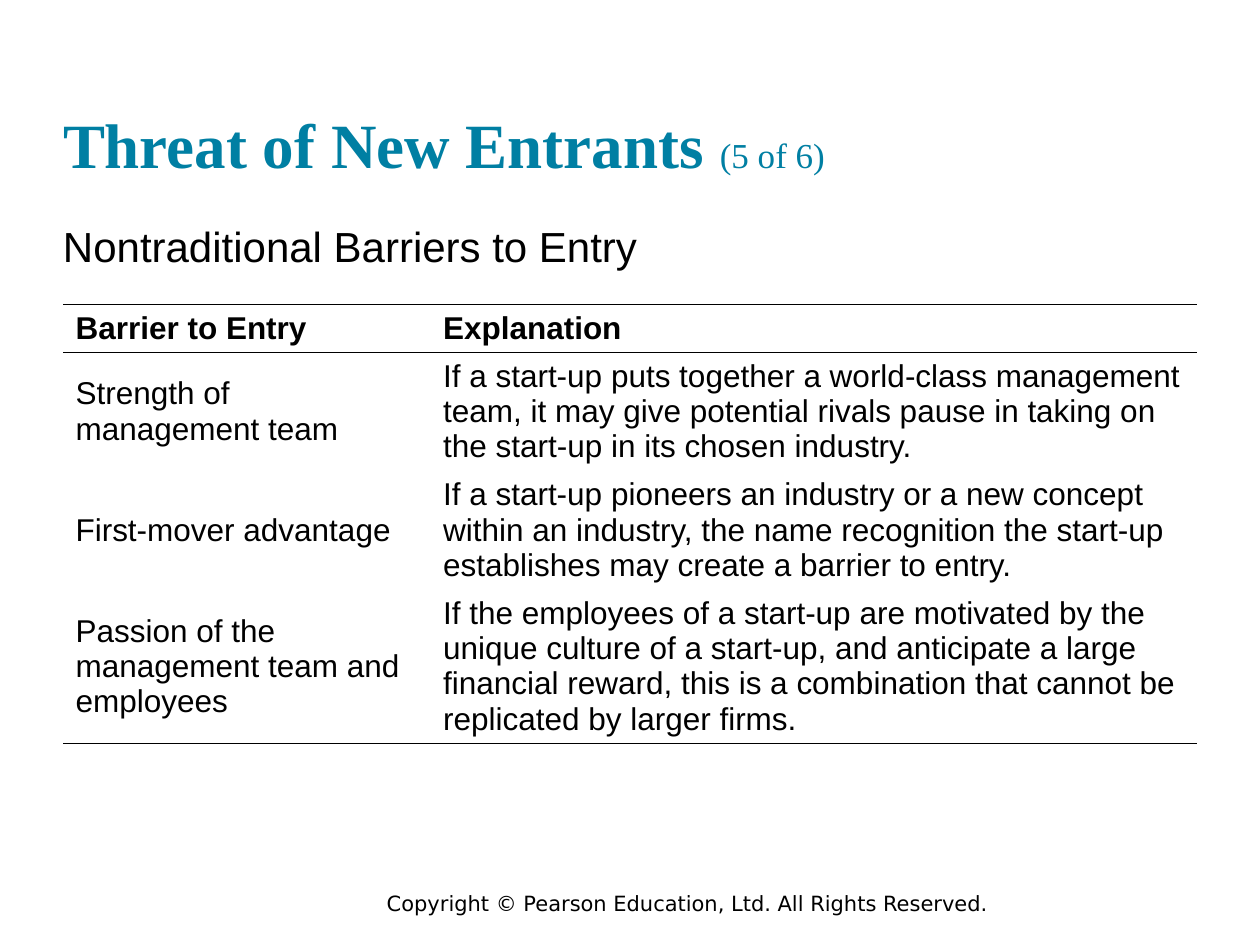
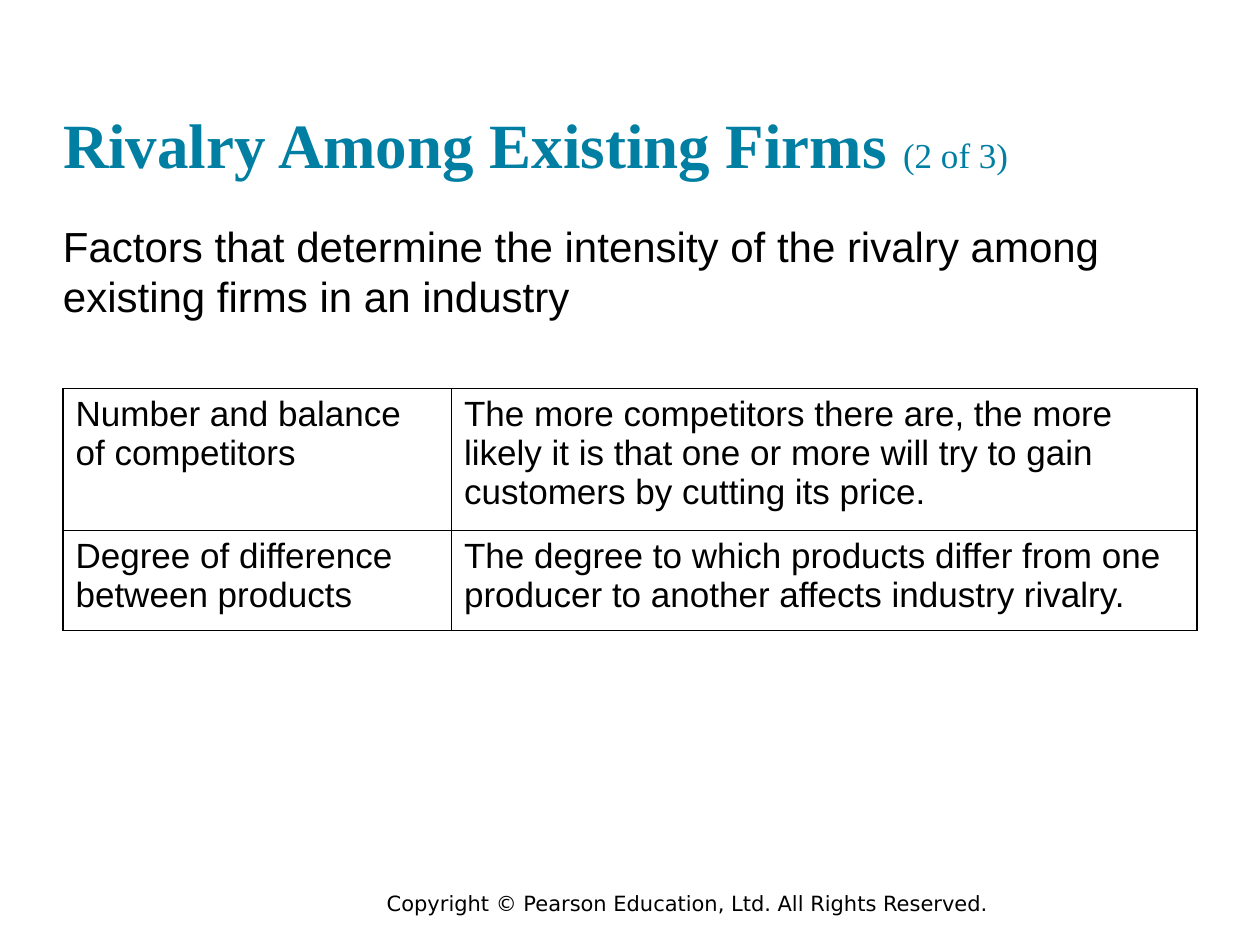
import dataclasses

import pptx
import pptx.dml.color
import pptx.enum.text
import pptx.oxml
import pptx.oxml.ns
import pptx.util

Pt = pptx.util.Pt
Anchor = pptx.enum.text.MSO_ANCHOR


@dataclasses.dataclass(frozen=True)
class Theme:
    """Colours, fonts and type sizes shared by the slides."""
    teal: str = "007FA3"
    black: str = "000000"
    white: str = "FFFFFF"
    title_font: str = "Times New Roman"
    body_font: str = "Arial"
    footer_font: str = "DejaVu Sans"
    title_size: int = 36
    count_size: int = 20
    lead_size: int = 24
    footer_size: int = 12
    left: int = 36
    width: int = 648


THEME = Theme()
FOOTER = "Copyright © Pearson Education, Ltd. All Rights Reserved."
BARRIERS = [
    ("Barrier to Entry", "Explanation"),
    ("Strength of management team",
     "If a start-up puts together a world-class management team, it may give potential "
     "rivals pause in taking on the start-up in its chosen industry."),
    ("First-mover advantage",
     "If a start-up pioneers an industry or a new concept within an industry, the name "
     "recognition the start-up establishes may create a barrier to entry."),
    ("Passion of the management team and employees",
     "If the employees of a start-up are motivated by the unique culture of a start-up, "
     "and anticipate a large financial reward, this is a combination that cannot be "
     "replicated by larger firms."),
]
RIVALRY = [
    ("Number and balance of competitors",
     "The more competitors there are, the more likely it is that one or more will try to "
     "gain customers by cutting its price."),
    ("Degree of difference between products",
     "The degree to which products differ from one producer to another affects industry "
     "rivalry."),
]


def set_attrs(obj, values):
    """Set each named attribute of an object."""
    for name, value in values.items():
        setattr(obj, name, value)


def place(sp, left, top, width, height):
    """Move and size a shape, in points."""
    set_attrs(sp, {"left": Pt(left), "top": Pt(top),
                   "width": Pt(width), "height": Pt(height)})


def add_run(p, text, font, size, color=THEME.black, bold=False):
    """Append a formatted run to a paragraph."""
    r = p.add_run()
    r.text = text
    set_attrs(r.font, {"name": font, "size": Pt(size), "bold": bold})
    r.font.color.rgb = pptx.dml.color.RGBColor.from_string(color)


def setup_frame(tf, anchor=Anchor.TOP, margin=0):
    """Wrap a text frame, fix its size and set its anchor and margins."""
    set_attrs(tf, {"word_wrap": True, "auto_size": pptx.enum.text.MSO_AUTO_SIZE.NONE,
                   "vertical_anchor": anchor})
    set_attrs(tf, dict.fromkeys(
        ("margin_left", "margin_top", "margin_right", "margin_bottom"), Pt(margin)))


def add_title(s, text, count):
    """Fill the title placeholder with a heading and its part count."""
    sp = s.shapes.title
    place(sp, THEME.left, 17.25, THEME.width, 86.4)
    setup_frame(sp.text_frame, Anchor.BOTTOM)
    p = sp.text_frame.paragraphs[0]
    p.alignment = pptx.enum.text.PP_ALIGN.LEFT
    add_run(p, text + " ", THEME.title_font, THEME.title_size, THEME.teal, True)
    add_run(p, count, THEME.title_font, THEME.count_size, THEME.teal)


def add_text(s, text, box, font, size, margin=0):
    """Add a one-paragraph text box."""
    sp = s.shapes.add_textbox(*map(Pt, box))
    setup_frame(sp.text_frame, margin=margin)
    add_run(sp.text_frame.paragraphs[0], text, font, size)


def set_borders(cell, sides):
    """Draw the named sides of a cell and clear the others."""
    tcPr = cell._tc.get_or_add_tcPr()
    for i, side in enumerate("LRTB"):
        fill = (f'<a:solidFill><a:srgbClr val="{THEME.black}"/></a:solidFill>'
                if side in sides else "<a:noFill/>")
        tcPr.insert(i, pptx.oxml.parse_xml(
            f'<a:ln{side} {pptx.oxml.ns.nsdecls("a")} w="{Pt(1)}">{fill}</a:ln{side}>'))


def add_table(s, rows, top, widths, heights, size, header=False):
    """Add a ruled table with a header, or a full grid without one."""
    frame = s.shapes.add_table(len(rows), len(widths), Pt(THEME.left), Pt(top),
                               Pt(sum(widths)), Pt(sum(heights)))
    table = frame.table
    set_attrs(table, {"first_row": header, "horz_banding": False})
    for column, width in zip(table.columns, widths):
        column.width = Pt(width)
    for i, (row, height, texts) in enumerate(zip(table.rows, heights, rows)):
        row.height = Pt(height)
        is_head = header and i == 0
        sides, anchor = "LRTB", Anchor.TOP
        if header:
            sides = ("TB" if is_head else "T" if i == 1
                     else "B" if i == len(rows) - 1 else "")
            anchor = Anchor.BOTTOM if is_head else Anchor.MIDDLE
        for cell, text in zip(row.cells, texts):
            cell.fill.solid()
            cell.fill.fore_color.rgb = pptx.dml.color.RGBColor.from_string(THEME.white)
            cell.vertical_anchor = anchor
            set_borders(cell, sides)
            add_run(cell.text_frame.paragraphs[0], text, THEME.body_font, size,
                    bold=is_head)


def add_slide(prs, title, count, lead, lead_height):
    """Add a slide with title, lead text and copyright footer."""
    s = prs.slides.add_slide(prs.slide_layouts[5])
    add_text(s, FOOTER, (216, 504, 480, 21.6), THEME.footer_font, THEME.footer_size, 5)
    add_title(s, title, count)
    add_text(s, lead, (THEME.left, 126, THEME.width, lead_height),
             THEME.body_font, THEME.lead_size)
    return s


def main():
    """Build and save the slides."""
    prs = pptx.Presentation()
    set_attrs(prs, {"slide_width": Pt(720), "slide_height": Pt(540)})
    s = add_slide(prs, "Threat of New Entrants", "(5 of 6)",
                  "Nontraditional Barriers to Entry", 30)
    add_table(s, BARRIERS, 174, (210, 438), (27.4, 67.7, 67.7, 88), 18, header=True)
    s = add_slide(prs, "Rivalry Among Existing Firms", "(2 of 3)",
                  "Factors that determine the intensity of the rivalry among existing "
                  "firms in an industry", 66)
    add_table(s, RIVALRY, 222, (222, 426), (81.2, 57), 20)
    prs.save("out.pptx")


if __name__ == "__main__":
    main()
